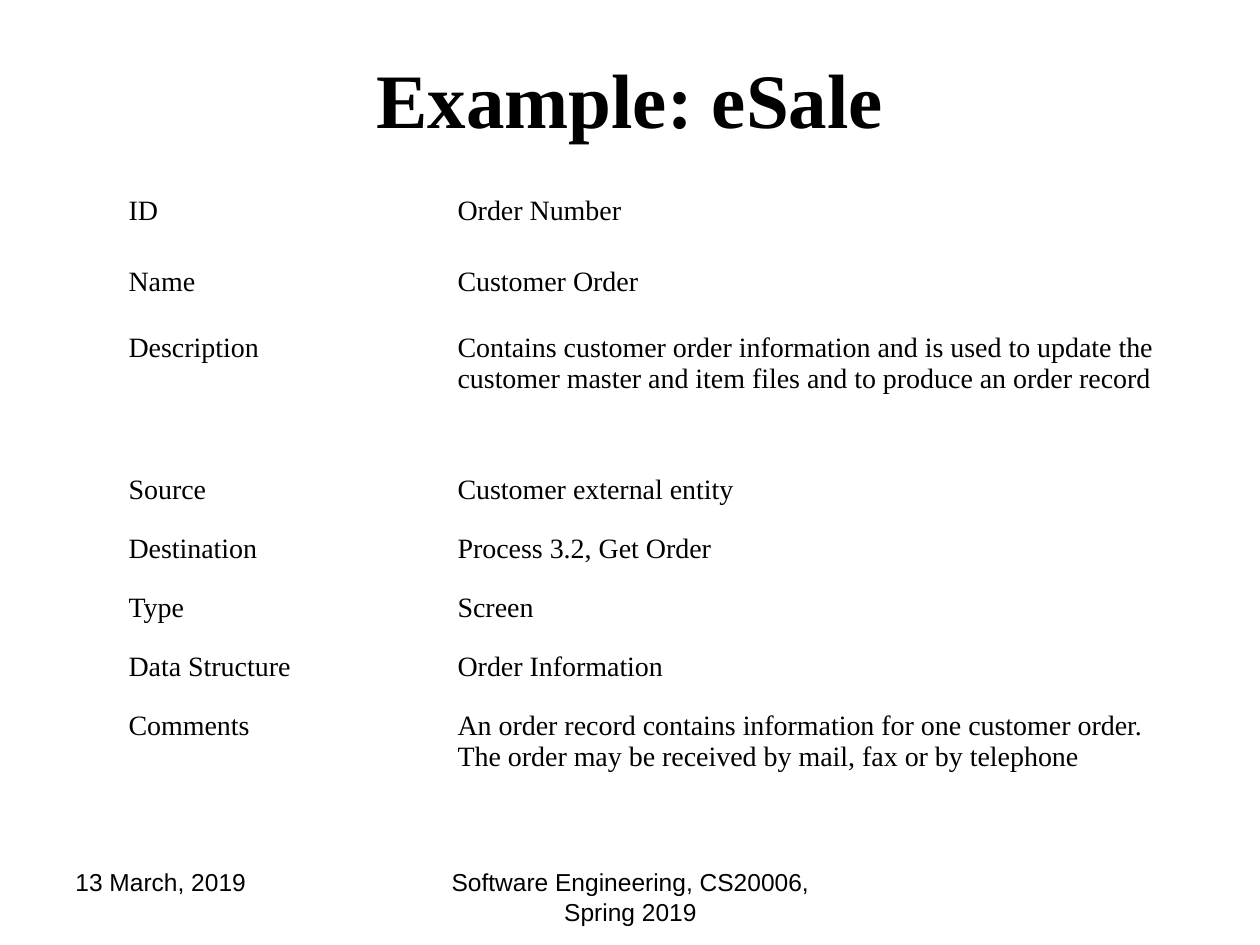
import pptx
import pptx.util
import pptx.dml.color
import pptx.enum.text

Align = pptx.enum.text.PP_ALIGN
Anchor = pptx.enum.text.MSO_ANCHOR

THEME = {
    "ink": "000000",
    "serif": "Times New Roman",
    "sans": "Arial",
    "title": 44,
    "body": 16,
    "foot": 14,
}

TITLE = "Example: eSale"
DATE = "13 March, 2019"
COURSE = "Software Engineering, CS20006, Spring 2019"

ROWS = [
    ("ID", "Order Number", 71),
    ("Name", "Customer Order", 66),
    ("Description", "Contains customer order information and is used to update the "
     "customer master and item files and to produce an order record", 142),
    ("Source", "Customer external entity", 59),
    ("Destination", "Process 3.2, Get Order", 59),
    ("Type", "Screen", 59),
    ("Data Structure", "Order Information", 59),
    ("Comments", "An order record contains information for one customer order. "
     "The order may be received by mail, fax or by telephone", 142),
]
COLS = (329, 721)
LEFT, TOP = 116, 189
SCALE = 914400 / 126


def px(num):
    return pptx.util.Emu(round(num * SCALE))


def write(frame, text, size="body", font="serif", bold=False,
          align=Align.LEFT, anchor=Anchor.TOP):
    frame.word_wrap = True
    frame.vertical_anchor = anchor
    para = frame.paragraphs[0]
    para.alignment = align
    run = para.add_run()
    run.text = text
    run.font.size = pptx.util.Pt(THEME[size])
    run.font.name = THEME[font]
    run.font.bold = bold
    run.font.color.rgb = pptx.dml.color.RGBColor.from_string(THEME["ink"])


deck = pptx.Presentation()
deck.slide_width, deck.slide_height = px(1260), px(945)
slide = deck.slides.add_slide(deck.slide_layouts[6])

BOXES = [
    (DATE, (63, 861, 294, 66), dict(size="foot", font="sans")),
    (COURSE, (431, 861, 399, 66),
     dict(size="foot", font="sans", align=Align.CENTER)),
    (TITLE, (63, 38, 1134, 120),
     dict(size="title", bold=True, align=Align.CENTER, anchor=Anchor.MIDDLE)),
]
for text, area, form in BOXES:
    box = slide.shapes.add_textbox(*map(px, area))
    write(box.text_frame, text, **form)

high = sum(row[2] for row in ROWS)
table = slide.shapes.add_table(
    len(ROWS), len(COLS), px(LEFT), px(TOP), px(sum(COLS)), px(high)).table
table.first_row = False
table.horz_banding = False
for col, wide in zip(table.columns, COLS):
    col.width = px(wide)
for line, (label, value, tall) in zip(table.rows, ROWS):
    line.height = px(tall)
    for cell, text in zip(line.cells, (label, value)):
        cell.fill.background()
        write(cell.text_frame, text)

deck.save("out.pptx")
